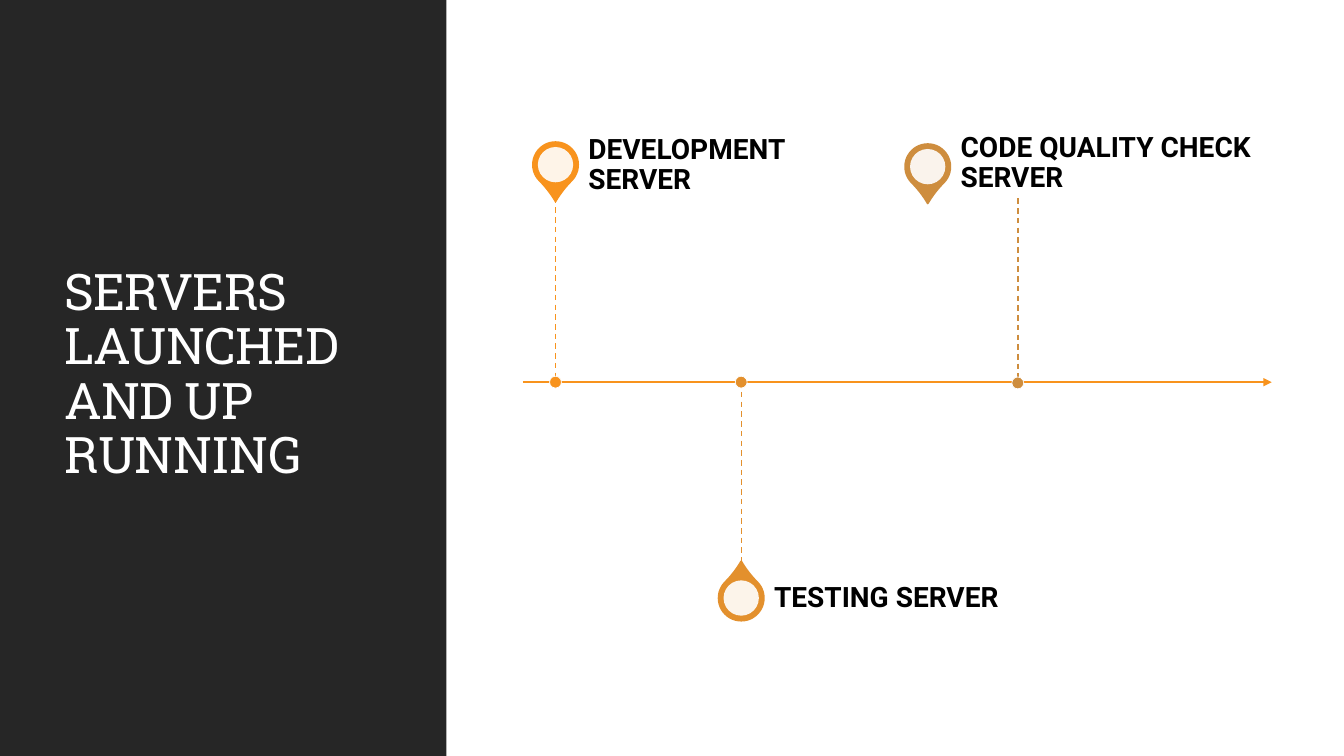
from lxml import etree
from pptx import Presentation
from pptx.dml.color import RGBColor
from pptx.enum import dml, shapes, text
from pptx.oxml.ns import qn
from pptx.util import Cm, Pt

TITLE = "SERVERS LAUNCHED AND UP RUNNING"
COLORS = {"panel": "262626", "white": "FFFFFF", "text": "000000", "axis": "F8931D"}
# Lengths in cm. pin: centre; label: vertical centre, height; stem: x, top; dot: y
SERVERS = [
    dict(name="DEVELOPMENT SERVER", color="F8931D", pin=(14.0, 4.15), rotation=135,
         label=(4.17, 1.63), align=text.PP_ALIGN.JUSTIFY, stem=(14.0, 4.98), dot=9.63),
    dict(name="TESTING SERVER", color="E3902D", pin=(18.68, 15.07), rotation=315,
         label=(15.09, 1.63), align=text.PP_ALIGN.LEFT, stem=(18.68, 9.63), dot=9.63),
    dict(name="CODE QUALITY CHECK SERVER", color="CE8D3E", pin=(23.38, 4.2), rotation=135,
         label=(4.11, 1.83), align=text.PP_ALIGN.LEFT, stem=(25.65, 5.0), dot=9.65),
]
AXIS_Y, AXIS_START, AXIS_END = 9.63, 13.18, 32.05
PIN, HOLE, DOT = 1.14, 0.89, 0.3
STEM_LENGTH = 4.65
LABEL_GAP, LABEL_WIDTH = 0.83, 7.82


def rgb(value):
    return RGBColor.from_string(value)


def add_filled(slide, kind, left, top, width, height, fill, line=None, weight=0):
    sp = slide.shapes.add_shape(kind, Cm(left), Cm(top), Cm(width), Cm(height))
    sp.shadow.inherit = False
    sp.fill.solid()
    sp.fill.fore_color.rgb = rgb(fill)
    if line:
        sp.line.color.rgb = rgb(line)
        sp.line.width = Pt(weight)
    else:
        sp.line.fill.background()
    return sp


def add_centred(slide, kind, centre, size, *style):
    x, y = centre
    return add_filled(slide, kind, x - size / 2, y - size / 2, size, size, *style)


def add_line(slide, start, end, color, weight, dashed=False, arrow=False):
    line = slide.shapes.add_connector(
        shapes.MSO_CONNECTOR.STRAIGHT, *(Cm(v) for v in start + end))
    line.line.color.rgb = rgb(color)
    line.line.width = Pt(weight)
    if dashed:
        line.line.dash_style = dml.MSO_LINE.DASH
    sp_pr = line._element.spPr
    if arrow:
        etree.SubElement(sp_pr.find(qn("a:ln")), qn("a:tailEnd"), type="triangle")
    etree.SubElement(sp_pr, qn("a:effectLst"))


def write(tf, words, font, size, color, bold=False, align=None):
    tf.word_wrap = True
    tf.auto_size = text.MSO_AUTO_SIZE.NONE
    tf.vertical_anchor = text.MSO_ANCHOR.MIDDLE
    p = tf.paragraphs[0]
    p.line_spacing = 0.9
    p.alignment = align or text.PP_ALIGN.LEFT
    r = p.add_run()
    r.text = words
    r.font.name, r.font.size, r.font.bold = font, Pt(size), bold
    r.font.color.rgb = rgb(color)
    return r


def add_title(slide):
    panel = add_filled(slide, shapes.MSO_SHAPE.RECTANGLE, 0, 0, 11.25, 19.05,
                       COLORS["panel"])
    title = slide.shapes.title
    title._element.addprevious(panel._element)
    title.left, title.top, title.width, title.height = map(Cm, (1.37, 1.45, 8.56, 16.03))
    r = write(title.text_frame, TITLE, "Roboto Slab", 36, COLORS["white"])
    r.font._element.set("spc", "-50")


def add_label(slide, server):
    middle, height = server["label"]
    box = slide.shapes.add_textbox(Cm(server["pin"][0] + LABEL_GAP), Cm(middle - height / 2),
                                   Cm(LABEL_WIDTH), Cm(height))
    tf = box.text_frame
    tf.margin_left = tf.margin_top = tf.margin_bottom = 0
    tf.margin_right = Cm(0.36)
    write(tf, server["name"], "Roboto", 20, COLORS["text"], True, server["align"])


def add_server(slide, server):
    color, oval = server["color"], shapes.MSO_SHAPE.OVAL
    pin = add_centred(slide, shapes.MSO_SHAPE.TEAR, server["pin"], PIN, color, color, 1.25)
    pin.adjustments[0] = 1.15
    pin.rotation = server["rotation"]
    hole = add_centred(slide, oval, server["pin"], HOLE, COLORS["white"])
    fill = hole._element.spPr.find(qn("a:solidFill"))
    etree.SubElement(fill[0], qn("a:alpha"), val="90000")
    add_label(slide, server)
    x, top = server["stem"]
    add_line(slide, (x, top), (x, top + STEM_LENGTH), color, 1, dashed=True)
    add_centred(slide, oval, (x, server["dot"]), DOT, color, COLORS["white"], 0.5)


def main():
    prs = Presentation()
    prs.slide_width, prs.slide_height = Cm(33.87), Cm(19.05)
    slide = prs.slides.add_slide(prs.slide_layouts[5])
    add_title(slide)
    add_line(slide, (AXIS_START, AXIS_Y), (AXIS_END, AXIS_Y), COLORS["axis"], 1.5, arrow=True)
    for server in SERVERS:
        add_server(slide, server)
    prs.save("out.pptx")


if __name__ == "__main__":
    main()
